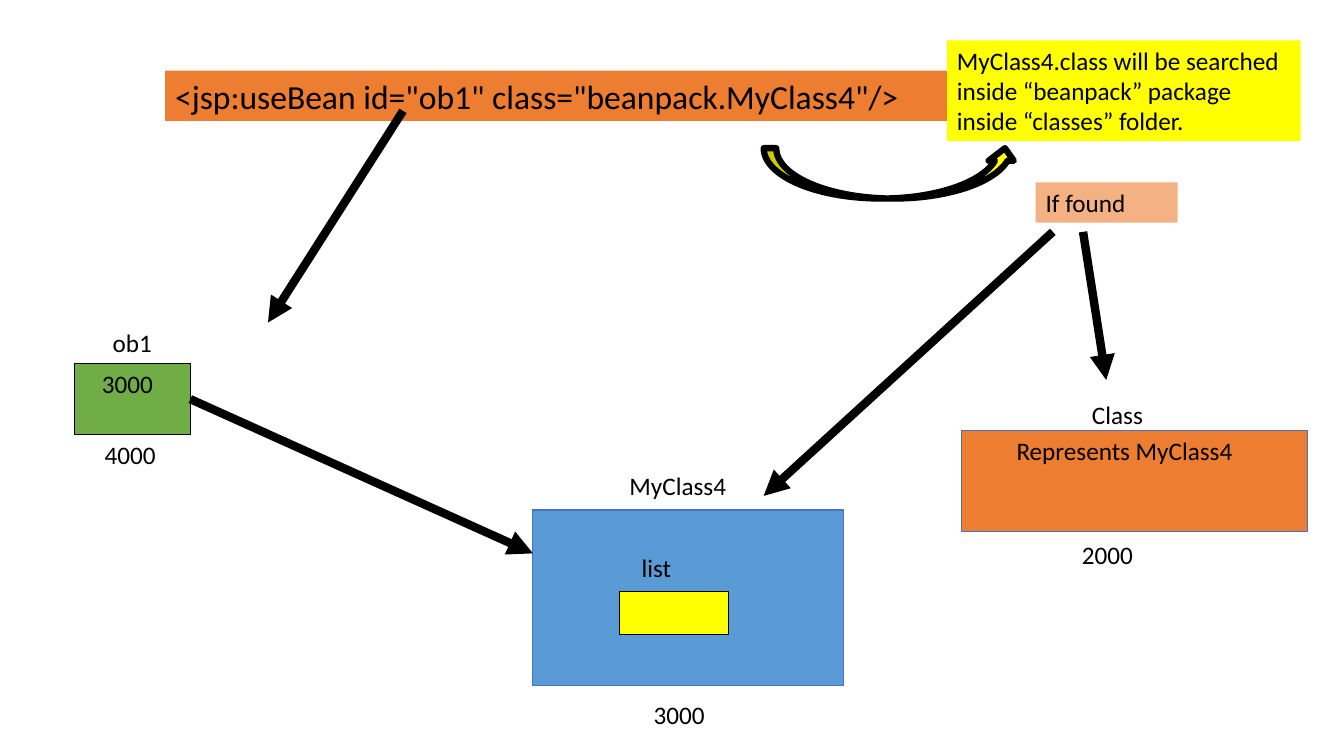
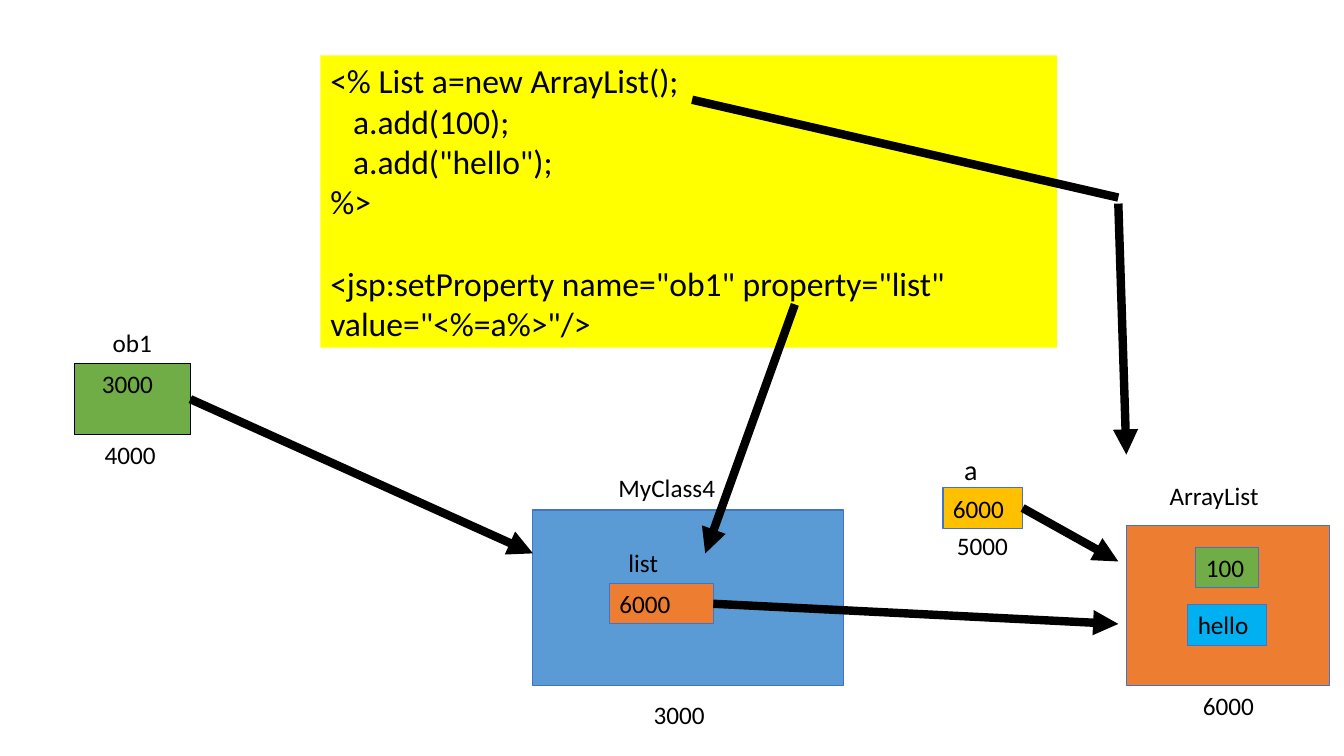
from dataclasses import dataclass
from typing import Any, Optional

from lxml import etree
from pptx import Presentation
from pptx.dml.color import RGBColor
from pptx.enum import shapes, text
from pptx.oxml import ns
from pptx.util import Pt
from pptx import util as u


@dataclass(frozen=True)
class Theme:
    font: str = "Calibri"
    black: str = "000000"
    edge: str = "4472C4"
    orange: str = "ED7D31"
    peach: str = "F4B183"
    yellow: str = "FFFF00"
    blue: str = "5B9BD5"
    green: str = "70AD47"
    cyan: str = "00B0F0"
    gold: str = "FFC000"
    label: float = 18
    variable: float = 20
    code: float = 24
    hairline: float = 0.75
    bend: float = 4.5
    arrow: float = 6


THEME = Theme()
CELL = u.Inches(0.1)
COLUMNS, ROWS = 133.4, 75
INSET = 1


@dataclass(frozen=True)
class Box:
    col: float
    row: float
    cols: float
    rows: float = 4
    words: str = ""
    fill: Optional[str] = None
    edge: Optional[str] = None
    size: float = THEME.label
    indent: float = 0
    last_gap: float = 0
    preset: Any = shapes.MSO_SHAPE.RECTANGLE
    weight: float = THEME.hairline


@dataclass(frozen=True)
class Arrow:
    start: tuple[float, float]
    end: tuple[float, float]
    head: bool = True


def cells(*counts: float) -> list[int]:
    return [round(count * CELL) for count in counts]


def apply(target: Any, values: dict[str, Any]) -> None:
    for name, value in values.items():
        setattr(target, name, value)


def write(frame: Any, box: Box) -> None:
    left, side, edge = cells(INSET + box.indent, INSET, INSET / 2)
    apply(frame, {
        "word_wrap": True, "auto_size": text.MSO_AUTO_SIZE.NONE,
        "vertical_anchor": text.MSO_ANCHOR.TOP,
        "margin_left": left, "margin_right": side,
        "margin_top": edge, "margin_bottom": edge,
    })
    for index, line in enumerate(box.words.split("\n")):
        paragraph = frame.paragraphs[0] if index == 0 else frame.add_paragraph()
        paragraph.alignment = text.PP_ALIGN.LEFT
        run = paragraph.add_run()
        run.text = line
        apply(run.font, {"name": THEME.font, "size": Pt(box.size)})
        run.font.color.rgb = RGBColor.from_string(THEME.black)
    if box.last_gap:
        paragraph.space_before = Pt(box.last_gap)


def draw_box(slide: Any, box: Box) -> None:
    place = cells(box.col, box.row, box.cols, box.rows)
    if box.fill is None:
        shape = slide.shapes.add_textbox(*place)
    else:
        shape = slide.shapes.add_shape(box.preset, *place)
        shape.shadow.inherit = False
        shape.fill.solid()
        shape.fill.fore_color.rgb = RGBColor.from_string(box.fill)
        if box.edge:
            shape.line.color.rgb = RGBColor.from_string(box.edge)
            shape.line.width = Pt(box.weight)
        else:
            shape.line.fill.background()
    if box.words:
        write(shape.text_frame, box)


def draw_arrow(slide: Any, arrow: Arrow) -> None:
    connector = slide.shapes.add_connector(
        shapes.MSO_CONNECTOR.STRAIGHT, *cells(*arrow.start, *arrow.end))
    connector.line.color.rgb = RGBColor.from_string(THEME.black)
    connector.line.width = Pt(THEME.arrow)
    properties = connector.element.spPr
    if arrow.head:
        outline = properties.find(ns.qn("a:ln"))
        etree.SubElement(outline, ns.qn("a:tailEnd"), type="triangle")
    etree.SubElement(properties, ns.qn("a:effectLst"))


BEAN_BOXES = [
    Box(52.9, 50.6, 30.8, 17.4, fill=THEME.blue, edge=THEME.edge),
    Box(63.9, 68.9, 9.5, words="3000"),
    Box(7.4, 36.1, 11.5, 7, "3000", THEME.green, THEME.black, indent=1.7),
    Box(10.2, 32, 5.9, words="ob1"),
    Box(9.4, 43.1, 9.5, words="4000"),
]
BEAN_ARROWS = [Arrow((18.9, 39.6), (52.9, 54.9))]

LOOKUP_BOXES = [
    Box(16.4, 7, 77.6, 5, '<jsp:useBean id="ob1" class="beanpack.MyClass4"/>',
        THEME.orange, size=THEME.code),
    Box(94, 4, 35.1, 10,
        "MyClass4.class will be searched inside “beanpack” package "
        "inside “classes” folder.", THEME.yellow),
    Box(102.8, 18.1, 14.1, 4, "If found", THEME.peach),
    Box(75.8, 14.7, 25.2, 5, fill=THEME.yellow, edge=THEME.black,
        preset=shapes.MSO_SHAPE.CURVED_UP_ARROW, weight=THEME.bend),
    Box(95.4, 42.7, 34.4, 10, "Represents MyClass4", THEME.orange, THEME.edge,
        indent=4.5),
    Box(107.4, 39.1, 8.3, words="Class"),
    Box(106.4, 53, 9.5, words="2000"),
    Box(61.5, 46.2, 14.3, words="MyClass4"),
    Box(61.5, 58.7, 10.8, 4.3, fill=THEME.yellow, edge=THEME.black),
    Box(62.7, 54.3, 7.9, words="list"),
]
LOOKUP_ARROWS = [
    Arrow((107.5, 23), (109.8, 37.7)),
    Arrow((104.5, 23), (75.8, 49.2)),
    Arrow((40, 11), (26.6, 32)),
]

PROPERTY_CODE = """<% List a=new ArrayList();
   a.add(100);
   a.add("hello");
%>
<jsp:setProperty name="ob1" property="list" value="<%=a%>"/>"""

PROPERTY_BOXES = [
    Box(60.4, 46.4, 14.3, words="MyClass4"),
    Box(60.5, 57.9, 10.3, 4, "6000", THEME.orange, THEME.edge),
    Box(61.4, 53.8, 8.6, words="list"),
    Box(111.8, 52.1, 20.2, 15.9, fill=THEME.orange, edge=THEME.edge),
    Box(115.1, 47.2, 11.5, words="ArrayList"),
    Box(118.7, 54.3, 6.2, 4, "100", THEME.green, THEME.edge),
    Box(117.9, 60, 7.8, 4, "hello", THEME.cyan, THEME.edge),
    Box(118.4, 68, 9.5, words="6000"),
    Box(93.6, 48.4, 7.9, 4, "6000", THEME.gold, THEME.edge),
    Box(94.7, 44.4, 3.8, 4.4, "a", size=THEME.variable),
    Box(94, 52.1, 7.9, words="5000"),
    Box(31.8, 5.5, 73.1, 29, PROPERTY_CODE, THEME.yellow, size=THEME.code,
        last_gap=29.3),
]
PROPERTY_ARROWS = [
    Arrow((101.5, 50.4), (111, 55.7)),
    Arrow((70.8, 59.9), (111, 61.9)),
    Arrow((111, 20.2), (111.8, 45.1)),
    Arrow((68.7, 9.9), (111, 19.6), head=False),
    Arrow((78.9, 30.2), (70, 54.9)),
]


def add_slide(deck: Any, boxes: list[Box], arrows: list[Arrow]) -> None:
    slide = deck.slides.add_slide(deck.slide_layouts[6])
    for box in BEAN_BOXES + boxes:
        draw_box(slide, box)
    for arrow in BEAN_ARROWS + arrows:
        draw_arrow(slide, arrow)


def main() -> None:
    deck = Presentation()
    deck.slide_width, deck.slide_height = cells(COLUMNS, ROWS)
    add_slide(deck, LOOKUP_BOXES, LOOKUP_ARROWS)
    add_slide(deck, PROPERTY_BOXES, PROPERTY_ARROWS)
    deck.save("out.pptx")


if __name__ == "__main__":
    main()
